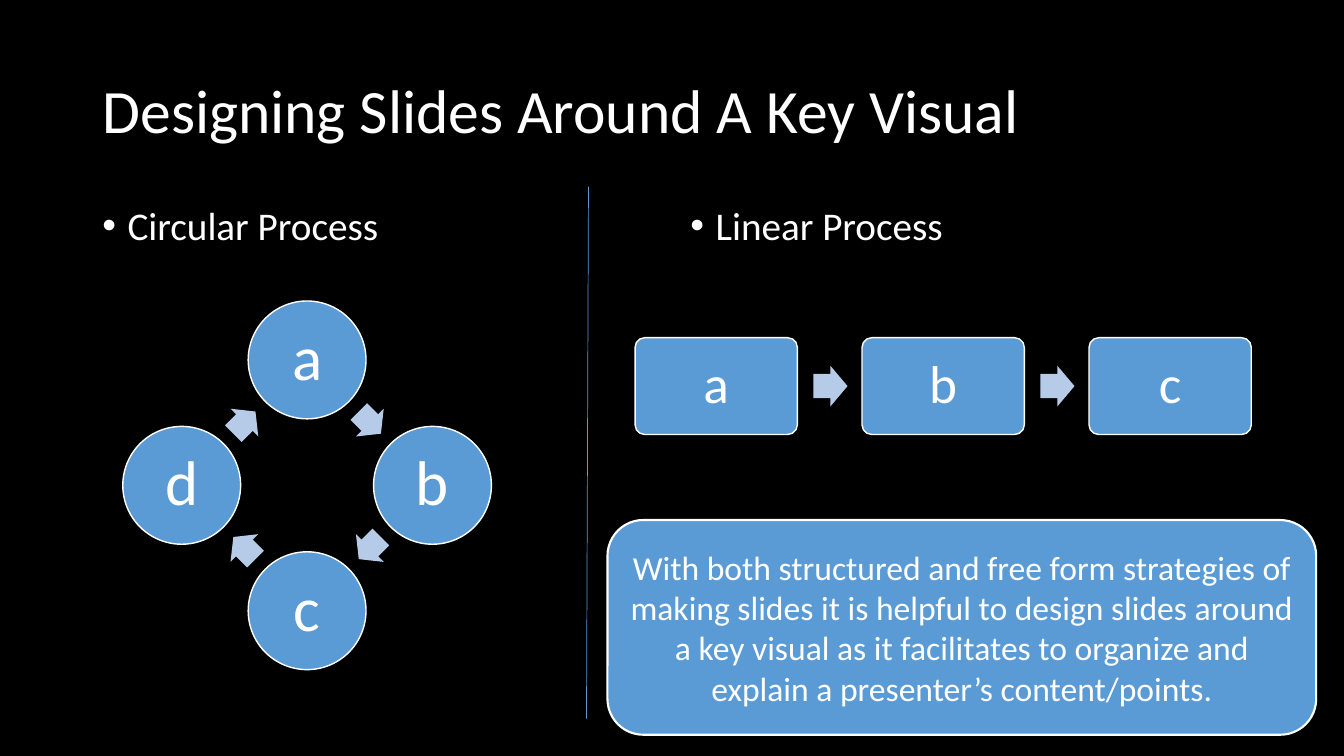
from math import cos, radians, sin, sqrt

from lxml.etree import SubElement
from pptx import Presentation
from pptx.dml.color import RGBColor
from pptx.enum.shapes import MSO_CONNECTOR, MSO_SHAPE as Preset
from pptx.enum.text import MSO_ANCHOR as Anchor, PP_ALIGN as Align
from pptx.oxml.ns import qn
from pptx.util import Cm, Pt

BLACK = RGBColor(0x00, 0x00, 0x00)
WHITE = RGBColor(0xFF, 0xFF, 0xFF)
BLUE = RGBColor(0x5B, 0x9B, 0xD5)
PALE_BLUE = RGBColor(0xB5, 0xCB, 0xE7)
FONT = "Calibri"

TITLE = "Designing Slides Around A Key Visual"
KEY_MESSAGE = (
    "With both structured and free form strategies of making slides it is "
    "helpful to design slides around a key visual as it facilitates to "
    "organize and explain a presenter’s content/points."
)


def write(frame, text, size, align=Align.CENTER, anchor=Anchor.MIDDLE,
          spacing=0.9, inset=None, bullet=False):
    frame.word_wrap = True
    frame.vertical_anchor = anchor
    if inset is not None:
        frame.margin_left = frame.margin_right = Cm(inset)
        frame.margin_top = frame.margin_bottom = Cm(inset)
    paragraph = frame.paragraphs[0]
    paragraph.alignment = align
    paragraph.line_spacing = spacing
    run = paragraph.add_run()
    run.text = text
    run.font.name = FONT
    run.font.size = Pt(size)
    run.font.color.rgb = WHITE
    if bullet:
        paragraph.space_before = Pt(10)
        properties = paragraph._p.get_or_add_pPr()
        properties.set("marL", str(Cm(0.635)))
        properties.set("indent", str(-Cm(0.635)))
        SubElement(properties, qn("a:buFont"), typeface="Arial")
        SubElement(properties, qn("a:buChar"), char="•")


def add_block(slide, preset, center_x, center_y, width, height,
              fill=BLUE, outline=1, adjustments=()):
    """Add a filled shape placed by its centre; outline is in points."""
    block = slide.shapes.add_shape(
        preset, Cm(center_x - width / 2), Cm(center_y - height / 2),
        Cm(width), Cm(height))
    block.shadow.inherit = False
    block.fill.solid()
    block.fill.fore_color.rgb = fill
    if outline:
        block.line.color.rgb = WHITE
        block.line.width = Pt(outline)
    else:
        block.line.fill.background()
    for index, value in enumerate(adjustments):
        block.adjustments[index] = value
    return block


def add_arrow(slide, center_x, center_y, width, height, rotation=0):
    arrow = add_block(slide, Preset.RIGHT_ARROW, center_x, center_y, width,
                      height, PALE_BLUE, 0, (0.6, 0.5))
    arrow.rotation = rotation


def add_title(slide):
    title = slide.shapes.title
    title.left, title.top = Cm(2.33), Cm(1.02)
    title.width, title.height = Cm(29.21), Cm(3.68)
    write(title.text_frame, TITLE, 44, align=Align.LEFT)


def add_heading(slide, text, left):
    heading = slide.shapes.add_textbox(Cm(left), Cm(5.08), Cm(14.4), Cm(1.6))
    write(heading.text_frame, text, 28, align=Align.LEFT, anchor=Anchor.TOP,
          bullet=True)


def add_circular_process(slide, steps, center_x, center_y, radius):
    """Place steps clockwise from the top, with an arrow after each."""
    turn = 360 / len(steps)
    arrow_radius = radius / sqrt(2)
    for index, step in enumerate(steps):
        angle = index * turn
        circle = add_block(
            slide, Preset.OVAL, center_x + radius * sin(radians(angle)),
            center_y - radius * cos(radians(angle)), 2.97, 2.97)
        write(circle.text_frame, step, 45, inset=0)
        heading = angle + turn / 2
        add_arrow(slide, center_x + arrow_radius * sin(radians(heading)),
                  center_y - arrow_radius * cos(radians(heading)),
                  0.79, 0.99, heading)


def add_linear_process(slide, steps, first_x, center_y, pitch):
    for index, step in enumerate(steps):
        center_x = first_x + index * pitch
        box = add_block(slide, Preset.ROUNDED_RECTANGLE, center_x, center_y,
                        4.09, 2.44, adjustments=(0.1,))
        write(box.text_frame, step, 38, inset=0)
        if index < len(steps) - 1:
            add_arrow(slide, center_x + pitch / 2 + 0.02, center_y, 0.86, 1.02)


def add_divider(slide):
    divider = slide.shapes.add_connector(
        MSO_CONNECTOR.STRAIGHT, Cm(14.83), Cm(4.7), Cm(14.78), Cm(18.11))
    divider.line.color.rgb = BLUE
    divider.line.width = Pt(0.5)
    SubElement(divider._element.spPr, qn("a:effectLst"))


def add_key_message(slide):
    panel = add_block(slide, Preset.ROUNDED_RECTANGLE, 24.24, 15.81,
                      17.86, 5.41, outline=1.5)
    write(panel.text_frame, KEY_MESSAGE, 24, spacing=1.0)


def main():
    deck = Presentation()
    deck.slide_width, deck.slide_height = Cm(33.87), Cm(19.05)
    slide = deck.slides.add_slide(deck.slide_layouts[5])
    slide.background.fill.solid()
    slide.background.fill.fore_color.rgb = BLACK

    add_title(slide)
    add_heading(slide, "Circular Process", 2.33)
    add_heading(slide, "Linear Process", 17.15)
    add_circular_process(slide, "abcd", 7.74, 12.23, 3.16)
    add_linear_process(slide, "abc", 18.05, 9.73, 5.72)
    add_divider(slide)
    add_key_message(slide)
    deck.save("out.pptx")


if __name__ == "__main__":
    main()
